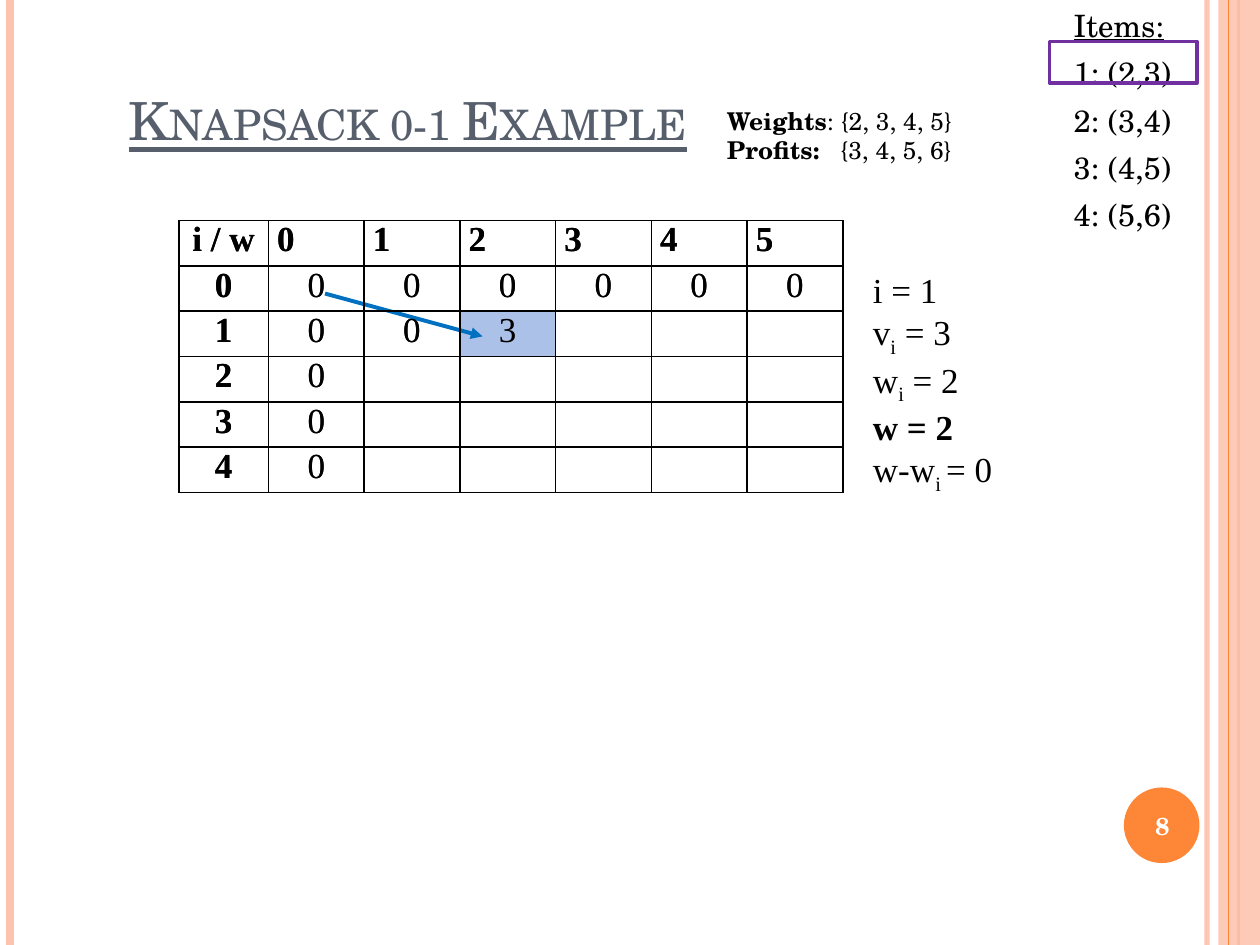
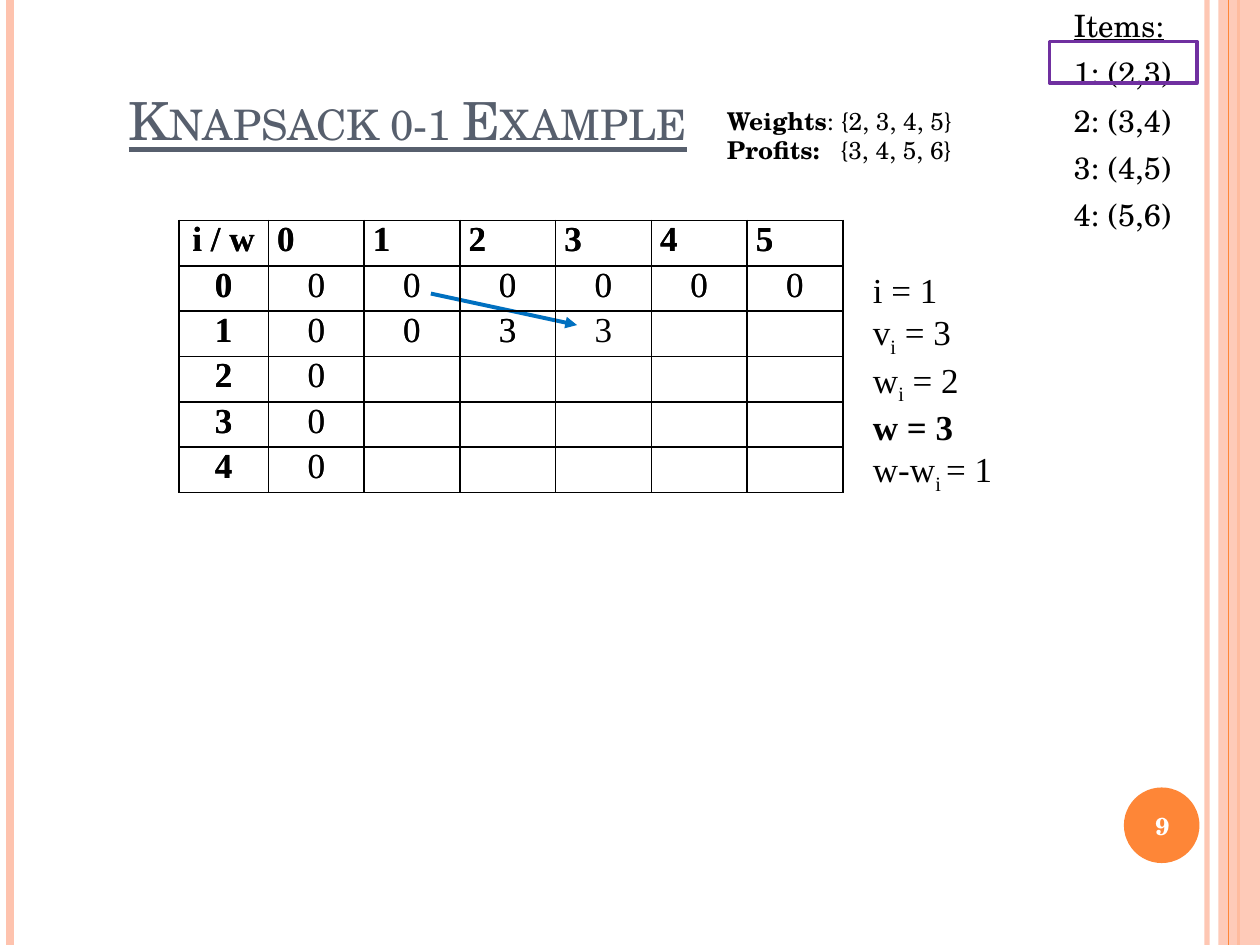
from lxml import etree
from pptx import Presentation
from pptx import util as u
from pptx.dml.color import RGBColor
from pptx.enum import shapes, text
from pptx.oxml.ns import qn

SERIF = "TeX Gyre Schola"
ROMAN = "Times New Roman"
BLACK, WHITE = "000000", "FFFFFF"
SLATE, ORANGE, PEACH = "575F6D", "FE8637", "FEC3AE"
PURPLE, BLUE, HIGHLIGHT = "7030A0", "0070C0", "ACC1E8"

SLIDE_WIDTH, SLIDE_HEIGHT = 10, 7.5
CAPACITY = 5
WEIGHTS = [2, 3, 4, 5]
PROFITS = [3, 4, 5, 6]
FIRST_COLUMN, OTHER_COLUMN, ROW_HEIGHT = 0.71, 0.76, 0.36

TITLE_BOX = (0.92, 0, 8.2, 1.25)
ITEMS_BOX = (8.33, 0, 1.17, 1.83)
TABLE_BOX = (1.42, 1.75, 5.25, 2.17)
STEP_BOX = (6.83, 2.08, 1.17, 1.78)
INPUT_BOX = (5.67, 0.79, 2, 0.57)
BADGE_BOX = (8.92, 6.25, 0.6, 0.6)

STEPS = [
    dict(number=8, weight=2, before=[0, 0], highlight=(2, 3),
         start=(2.58, 2.33), end=(3.83, 2.67)),
    dict(number=9, weight=3, before=[0, 0, 3], highlight=None,
         start=(3.42, 2.33), end=(4.58, 2.58)),
]


def color(hex_code):
    return RGBColor.from_string(hex_code)


def inches(values):
    return [u.Inches(value) for value in values]


def add_xml(parent, tag, **attributes):
    return etree.SubElement(parent, qn(tag), attributes)


def add_run(paragraph, words, size, font=SERIF, hex_code=BLACK, bold=False,
            underline=False, **attributes):
    run = paragraph.add_run()
    run.text = words
    run.font.size = u.Pt(size)
    run.font.name = font
    run.font.bold = bold
    run.font.underline = underline
    run.font.color.rgb = color(hex_code)
    for name, value in attributes.items():
        run.font._element.set(name, value)


def next_paragraph(frame, index):
    return frame.add_paragraph() if index else frame.paragraphs[0]


def place(shape, box):
    shape.left, shape.top, shape.width, shape.height = inches(box)


def add_line(slide, start, end, hex_code, width, alpha=None, arrow=False):
    line = slide.shapes.add_connector(
        shapes.MSO_CONNECTOR.STRAIGHT, *inches(start + end))
    line.line.width = u.Pt(width)
    line.line.color.rgb = color(hex_code)
    outline = line.line._ln
    if alpha:
        set_alpha(outline, alpha)
    if arrow:
        add_xml(outline, "a:tailEnd", type="triangle")
    add_xml(line._element.spPr, "a:effectLst")


def set_alpha(element, percent):
    add_xml(element.find(".//" + qn("a:srgbClr")), "a:alpha", val=str(percent * 1000))


def add_solid(slide, preset, box, hex_code):
    shape = slide.shapes.add_shape(preset, *inches(box))
    shape.shadow.inherit = False
    shape.fill.solid()
    shape.fill.fore_color.rgb = color(hex_code)
    shape.line.fill.background()
    return shape


def add_side_bands(slide):
    def stripe(x, hex_code, width, alpha=None):
        add_line(slide, (x, 0), (x, SLIDE_HEIGHT), hex_code, width, alpha)

    stripe(9.58, PEACH, 3, 93)
    stripe(0.08, PEACH, 4.5)
    stripe(9.83, ORANGE, 1.5)
    band = add_solid(slide, shapes.MSO_SHAPE.RECTANGLE,
                     (9.67, 0, 0.33, SLIDE_HEIGHT), PEACH)
    set_alpha(band._element.spPr, 87)
    stripe(9.75, ORANGE, 0.75)


def add_number_badge(slide, box, number):
    add_solid(slide, shapes.MSO_SHAPE.OVAL, box, ORANGE)
    left, top, width, height = box
    label = slide.shapes.add_textbox(
        *inches((left - 0.03, top + 0.02, width + 0.07, height - 0.03)))
    frame = label.text_frame
    frame.word_wrap = True
    frame.vertical_anchor = text.MSO_ANCHOR.MIDDLE
    paragraph = frame.paragraphs[0]
    paragraph.alignment = text.PP_ALIGN.CENTER
    add_run(paragraph, str(number), 14, hex_code=WHITE, bold=True)


def fill_title(slide, box, words):
    title = slide.shapes.title
    place(title, box)
    frame = title.text_frame
    frame.auto_size = text.MSO_AUTO_SIZE.NONE
    frame.vertical_anchor = text.MSO_ANCHOR.BOTTOM
    paragraph = frame.paragraphs[0]
    paragraph.alignment = text.PP_ALIGN.LEFT
    add_run(paragraph, words, 30, hex_code=SLATE, underline=True, cap="small")


def fill_items(slide, box):
    body = slide.placeholders[1]
    place(body, box)
    frame = body.text_frame
    frame.auto_size = text.MSO_AUTO_SIZE.NONE
    pairs = zip(WEIGHTS, PROFITS)
    lines = ["Items:"] + [f"{i}: ({w},{p})" for i, (w, p) in enumerate(pairs, 1)]
    for index, line in enumerate(lines):
        paragraph = next_paragraph(frame, index)
        paragraph.space_before = u.Pt(6 if index else 0)
        properties = paragraph._p.get_or_add_pPr()
        properties.set("marL", str(u.Inches(0.4)))
        properties.set("indent", str(u.Inches(-0.31)))
        add_xml(properties, "a:buNone")
        add_run(paragraph, line, 17.6, underline=index == 0)


def add_item_marker(slide, box):
    left, top, width, _ = box
    marker = slide.shapes.add_shape(
        shapes.MSO_SHAPE.RECTANGLE, *inches((left, top + 0.33, width, 0.33)))
    marker.shadow.inherit = False
    marker.fill.background()
    marker.line.color.rgb = color(PURPLE)
    marker.line.width = u.Pt(2)


def add_inputs(slide, box):
    frame = slide.shapes.add_textbox(*inches(box)).text_frame
    frame.word_wrap = True
    rows = [("Weights", ": ", WEIGHTS), ("Profits:", "\t", PROFITS)]
    for index, (label, gap, values) in enumerate(rows):
        paragraph = next_paragraph(frame, index)
        tabs = add_xml(paragraph._p.get_or_add_pPr(), "a:tabLst")
        add_xml(tabs, "a:tab", pos=str(u.Inches(0.9)), algn="l")
        add_run(paragraph, label, 14, bold=True)
        add_run(paragraph, gap + "{" + ", ".join(map(str, values)) + "}", 14)


def add_step_values(slide, box, weight):
    frame = slide.shapes.add_textbox(*inches(box)).text_frame
    frame.word_wrap = False
    frame.auto_size = text.MSO_AUTO_SIZE.SHAPE_TO_FIT_TEXT
    lines = [
        ("i = 1", "", ""),
        ("v", "i", f" = {PROFITS[0]}"),
        ("w", "i", f" = {WEIGHTS[0]}"),
        (f"w = {weight}", "", ""),
        ("w-w", "i ", f"= {weight - WEIGHTS[0]}"),
    ]
    for index, (name, subscript, value) in enumerate(lines):
        paragraph = next_paragraph(frame, index)
        add_run(paragraph, name, 20, ROMAN, bold=index == 3)
        if subscript:
            add_run(paragraph, subscript, 20, ROMAN, baseline="-25000")
            add_run(paragraph, value, 20, ROMAN)


def format_cell(cell, fill):
    cell.margin_left = cell.margin_right = u.Inches(0.07)
    cell.margin_top = cell.margin_bottom = 0
    properties = cell._tc.get_or_add_tcPr()
    for side in "LRTB":
        border = add_xml(properties, f"a:ln{side}", w=str(u.Pt(1)))
        add_xml(add_xml(border, "a:solidFill"), "a:srgbClr", val=BLACK)
    if fill:
        cell.fill.solid()
        cell.fill.fore_color.rgb = color(fill)
    else:
        cell.fill.background()


def add_knapsack_table(slide, box, first_item, highlight=None):
    rows = [["i / w", *range(CAPACITY + 1)], [0] * (CAPACITY + 2), [1, *first_item]]
    rows += [[item, 0] for item in range(2, len(WEIGHTS) + 1)]
    table = slide.shapes.add_table(len(rows), CAPACITY + 2, *inches(box)).table
    table.first_row = table.horz_banding = False
    for index, column in enumerate(table.columns):
        column.width = u.Inches(OTHER_COLUMN if index else FIRST_COLUMN)
    for r, values in enumerate(rows):
        table.rows[r].height = u.Inches(ROW_HEIGHT)
        for c in range(CAPACITY + 2):
            cell = table.cell(r, c)
            format_cell(cell, HIGHLIGHT if (r, c) == highlight else None)
            if c < len(values):
                paragraph = cell.text_frame.paragraphs[0]
                if r or not c:
                    paragraph.alignment = text.PP_ALIGN.CENTER
                add_run(paragraph, str(values[c]), 20, ROMAN, bold=r == 0 or c == 0)


def add_step_slide(presentation, step):
    slide = presentation.slides.add_slide(presentation.slide_layouts[1])
    add_side_bands(slide)
    fill_title(slide, TITLE_BOX, "Knapsack 0-1 Example")
    fill_items(slide, ITEMS_BOX)
    add_knapsack_table(slide, TABLE_BOX, step["before"], step["highlight"])
    add_step_values(slide, STEP_BOX, step["weight"])
    add_line(slide, step["start"], step["end"], BLUE, 2.25, arrow=True)
    add_knapsack_table(slide, TABLE_BOX, step["before"] + [PROFITS[0]])
    add_item_marker(slide, ITEMS_BOX)
    add_inputs(slide, INPUT_BOX)
    add_number_badge(slide, BADGE_BOX, step["number"])


def main():
    presentation = Presentation()
    presentation.slide_width = u.Inches(SLIDE_WIDTH)
    presentation.slide_height = u.Inches(SLIDE_HEIGHT)
    for step in STEPS:
        add_step_slide(presentation, step)
    presentation.save("out.pptx")


if __name__ == "__main__":
    main()
